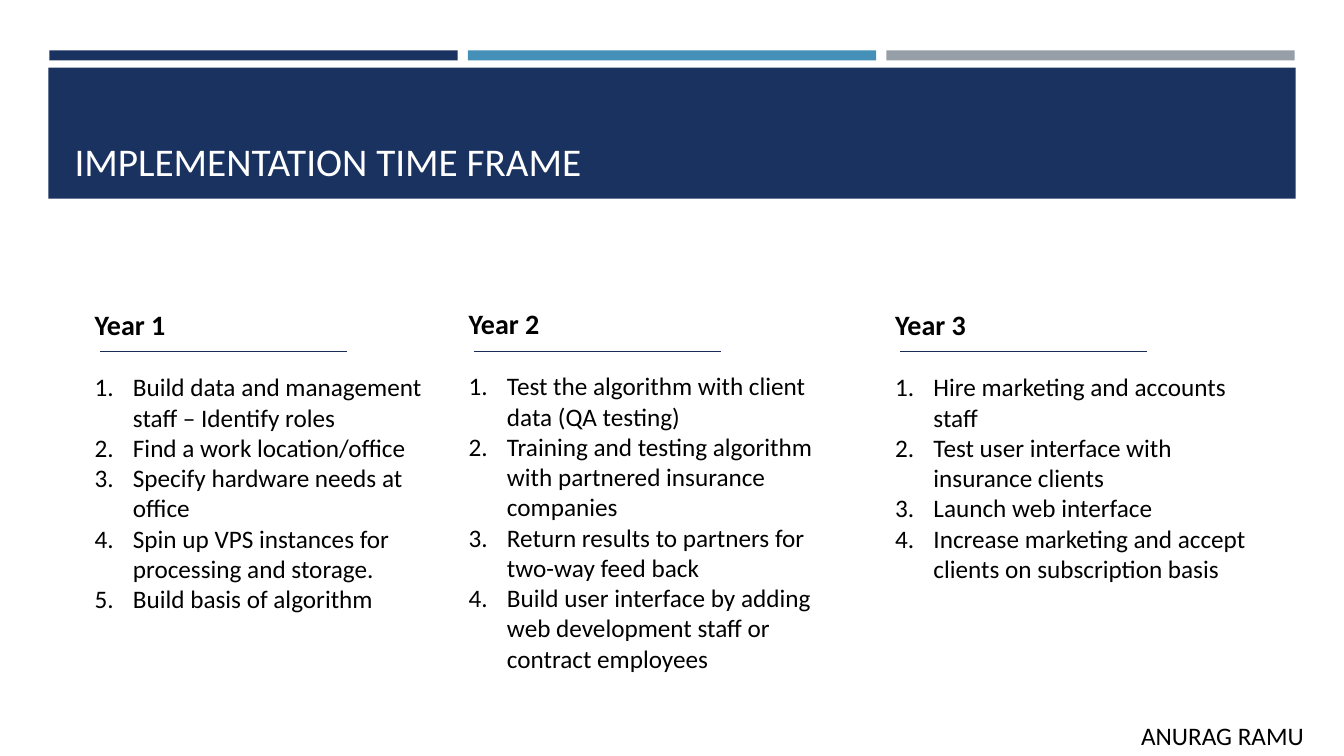
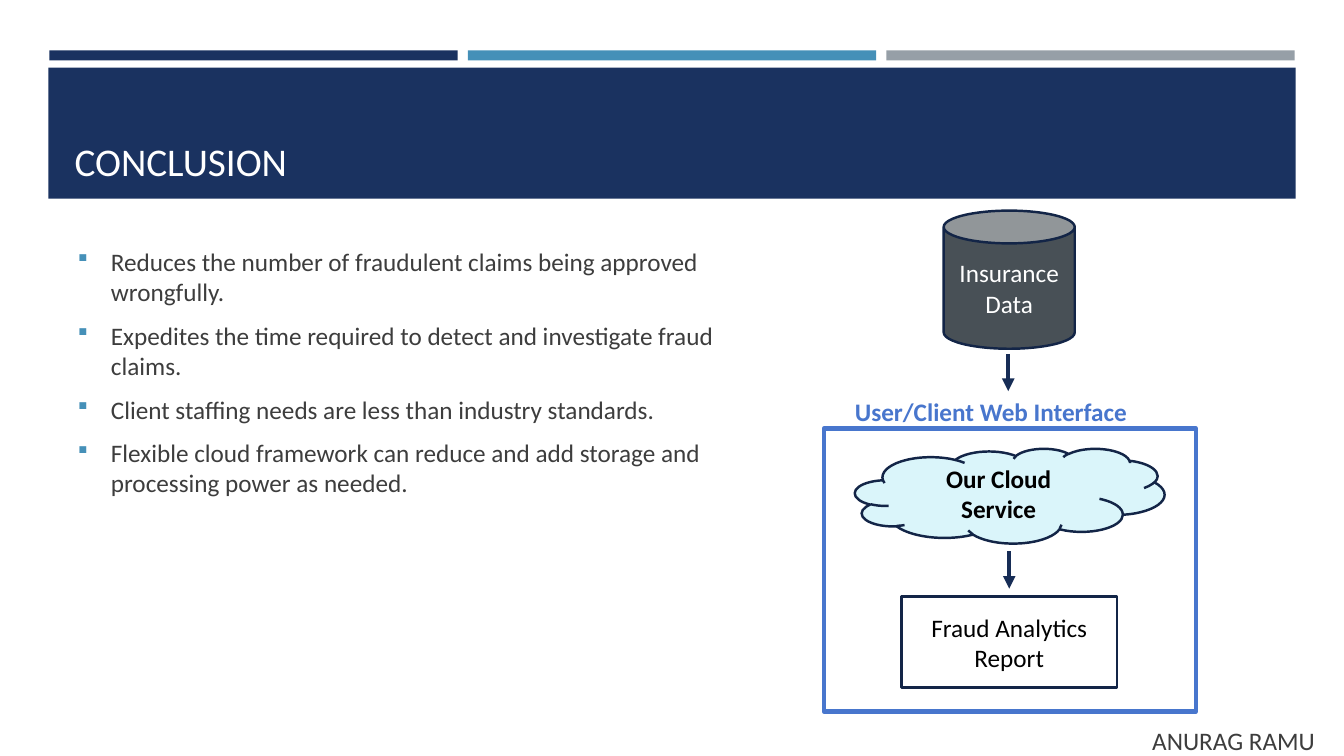
from pptx import Presentation
from pptx.dml.color import RGBColor
from pptx.enum.shapes import MSO_CONNECTOR, MSO_SHAPE
from pptx.enum.text import MSO_ANCHOR, MSO_AUTO_SIZE, PP_ALIGN
from pptx.oxml.ns import qn
from pptx.util import Inches, Pt
from lxml.etree import SubElement

COLORS = {
    "navy": "1A3260", "blue": "4590B8", "gray": "969FA7", "rule": "172D56",
    "outline": "132547", "frame": "4876CD", "cloud": "DAF5FA", "can": "485056",
    "white": "FFFFFF", "black": "000000", "body": "3D3D3D",
}
FONT = "Calibri"
AUTHOR = "ANURAG\u00a0RAMU"

# Bands: left, top, width, height, colour
BANDS = [(0.49 + 4.15 * i, 0.5, 4.05, 0.1, name)
         for i, name in enumerate(("navy", "blue", "gray"))]
BANDS.append((0.48, 0.67, 12.37, 1.3, "navy"))

TIME_FRAME = "IMPLEMENTATION TIME FRAME"
# Years: heading, left, top, width, height, steps
YEARS = [
    ("Year 1", 0.84, 3, 3.58, 3.16, [
        "Build data and management staff – Identify roles",
        "Find a work location/office",
        "Specify hardware needs at office",
        "Spin up VPS instances for processing and storage.",
        "Build basis of algorithm"]),
    ("Year 2", 4.55, 2.99, 3.92, 3.77, [
        "Test the algorithm with client data (QA testing)",
        "Training and testing algorithm with partnered\u00a0insurance companies",
        "Return results to partners for two-way feed back",
        "Build user interface by adding web development staff or contract employees"]),
    ("Year 3", 8.78, 3, 3.92, 2.86, [
        "Hire marketing and accounts staff",
        "Test user interface with insurance clients",
        "Launch web interface",
        "Increase marketing and accept clients on subscription basis"]),
]
RULE_Y, RULE_INSET, RULE_WIDTH = 3.49, 0.15, 2.45

CONCLUSION = "CONCLUSION"
BENEFITS = [
    "Reduces the number of fraudulent claims being approved wrongfully.",
    "Expedites the time required to detect and investigate fraud claims.",
    "Client staffing needs are less than industry standards.",
    "Flexible cloud framework can reduce and add storage and processing power as needed.",
]
# Nodes: shape, box, fill, outline, outline width, text, text format
NODES = [
    (MSO_SHAPE.CLOUD, (8.48, 4.45, 3.07, 0.94), "cloud", "outline", 1.75,
     "Our Cloud Service", {"color": "black", "bold": True}),
    (MSO_SHAPE.CAN, (9.36, 2.09, 1.3, 1.37), "can", "outline", 1.75,
     "Insurance Data", {"color": "white"}),
    (MSO_SHAPE.RECTANGLE, (8.94, 5.92, 2.14, 0.9), "white", "outline", 1.75,
     "Fraud Analytics Report", {"color": "black"}),
    (MSO_SHAPE.RECTANGLE, (8.17, 4.25, 3.69, 2.81), None, "frame", 3, "", {}),
]
ARROWS = [(10, 3.51), (10.01, 5.47)]
ARROW_LENGTH = 0.37


def rgb(name):
    """Return the named colour."""
    return RGBColor.from_string(COLORS[name])


def write(p, text, color="black", **formats):
    """Add one formatted run to a paragraph."""
    r = p.add_run()
    r.text = text
    for key, value in {"name": FONT, "size": Pt(18), **formats}.items():
        setattr(r.font, key, value)
    r.font.color.rgb = rgb(color)


def place(sp, *box):
    """Move and size a shape, in inches."""
    for key, value in zip(("left", "top", "width", "height"), box):
        setattr(sp, key, Inches(value))


def add_text(slide, *box):
    """Add a wrapping text box and return its text frame."""
    tf = slide.shapes.add_textbox(*map(Inches, box)).text_frame
    tf.word_wrap = True
    return tf


def add_box(slide, kind, box, fill=None, line=None, width=1):
    """Add a flat preset shape."""
    sp = slide.shapes.add_shape(kind, *map(Inches, box))
    sp.shadow.inherit = False
    if fill:
        sp.fill.solid()
        sp.fill.fore_color.rgb = rgb(fill)
    else:
        sp.fill.background()
    if line:
        sp.line.color.rgb = rgb(line)
        sp.line.width = Pt(width)
    else:
        sp.line.fill.background()
    return sp


def add_line(slide, x1, y1, x2, y2, width, arrow=False):
    """Add a straight line, with an arrowhead at its end if asked."""
    cx = slide.shapes.add_connector(MSO_CONNECTOR.STRAIGHT,
                                    *map(Inches, (x1, y1, x2, y2)))
    cx.line.color.rgb = rgb("rule")
    cx.line.width = Pt(width)
    if arrow:
        SubElement(cx.line._get_or_add_ln(), qn("a:tailEnd"), type="triangle")
    SubElement(cx._element.spPr, qn("a:effectLst"))


def set_bullet(p, indent, marks):
    """Give a paragraph a hanging indent and bullet elements."""
    pPr = p._p.get_or_add_pPr()
    pPr.set("marL", str(Inches(indent)))
    pPr.set("indent", str(-Inches(indent)))
    for tag, attributes in marks:
        SubElement(pPr, qn(tag), attributes)
    return pPr


def add_slide(prs, layout, title):
    """Add a slide with its formatted title."""
    slide = prs.slides.add_slide(prs.slide_layouts[layout])
    sp = slide.shapes.title
    place(sp, 0.64, 0.77, 12.06, 1.11)
    tf = sp.text_frame
    tf.vertical_anchor = MSO_ANCHOR.BOTTOM
    tf.auto_size = MSO_AUTO_SIZE.NONE
    p = tf.paragraphs[0]
    p.alignment = PP_ALIGN.LEFT
    write(p, title, "white", size=Pt(28))
    return slide


def add_master_bands(prs, slide):
    """Draw the bands and move them behind everything on the master."""
    tree = prs.slide_master.shapes._spTree
    for i, (*box, fill) in enumerate(BANDS):
        sp = add_box(slide, MSO_SHAPE.RECTANGLE, box, fill)
        tree.insert(2 + i, sp._element)


def add_author(slide, box, color, align):
    """Add the author line at the foot."""
    p = add_text(slide, *box).paragraphs[0]
    p.alignment = align
    write(p, AUTHOR, color)


def add_year(slide, heading, left, top, width, height, steps):
    """Add one year's heading, rule and numbered steps."""
    tf = add_text(slide, left, top, width, height)
    write(tf.paragraphs[0], heading, size=Pt(20), bold=True)
    for i, step in enumerate(steps):
        p = tf.add_paragraph()
        if i == 0:
            p.space_before = Pt(22)
        set_bullet(p, 0.38, [("a:buFont", {"typeface": "+mj-lt"}),
                             ("a:buAutoNum", {"type": "arabicPeriod"})])
        write(p, step)
    x = left + RULE_INSET
    add_line(slide, x, RULE_Y, x + RULE_WIDTH, RULE_Y, 1)


def add_benefits(slide):
    """Fill the body placeholder with square bullets."""
    body = slide.placeholders[1]
    place(body, 0.67, 2.39, 6.73, 4.02)
    tf = body.text_frame
    tf.auto_size = MSO_AUTO_SIZE.NONE
    for i, text in enumerate(BENEFITS):
        p = tf.add_paragraph() if i else tf.paragraphs[0]
        p.space_after = Pt(6)
        pPr = set_bullet(p, 0.33, [("a:buClr", {}),
                                   ("a:buSzPct", {"val": "92000"}),
                                   ("a:buFont", {"typeface": "Wingdings"}),
                                   ("a:buChar", {"char": "§"})])
        SubElement(pPr.find(qn("a:buClr")), qn("a:srgbClr"), val=COLORS["blue"])
        write(p, text, "body")


def add_diagram(slide):
    """Draw the flow from the data to the report."""
    for kind, box, fill, line, width, text, formats in NODES:
        sp = add_box(slide, kind, box, fill, line, width)
        if text:
            tf = sp.text_frame
            tf.word_wrap = True
            tf.vertical_anchor = MSO_ANCHOR.MIDDLE
            tf.paragraphs[0].alignment = PP_ALIGN.CENTER
            write(tf.paragraphs[0], text, **formats)
    label = add_text(slide, 8.38, 3.88, 3.52, 0.4)
    write(label.paragraphs[0], "User/Client Web Interface", "frame", bold=True)
    for x, y in ARROWS:
        add_line(slide, x, y, x, y + ARROW_LENGTH, 3, arrow=True)


prs = Presentation()
prs.slide_width, prs.slide_height = Inches(13.33), Inches(7.5)

slide = add_slide(prs, 5, TIME_FRAME)
add_master_bands(prs, slide)
for year in YEARS:
    add_year(slide, *year)
add_author(slide, (11.22, 7.1, 2.1, 0.4), "black", PP_ALIGN.LEFT)

slide = add_slide(prs, 1, CONCLUSION)
add_benefits(slide)
add_diagram(slide)
add_author(slide, (10.14, 7.15, 3, 0.35), "body", PP_ALIGN.RIGHT)

prs.save("out.pptx")
